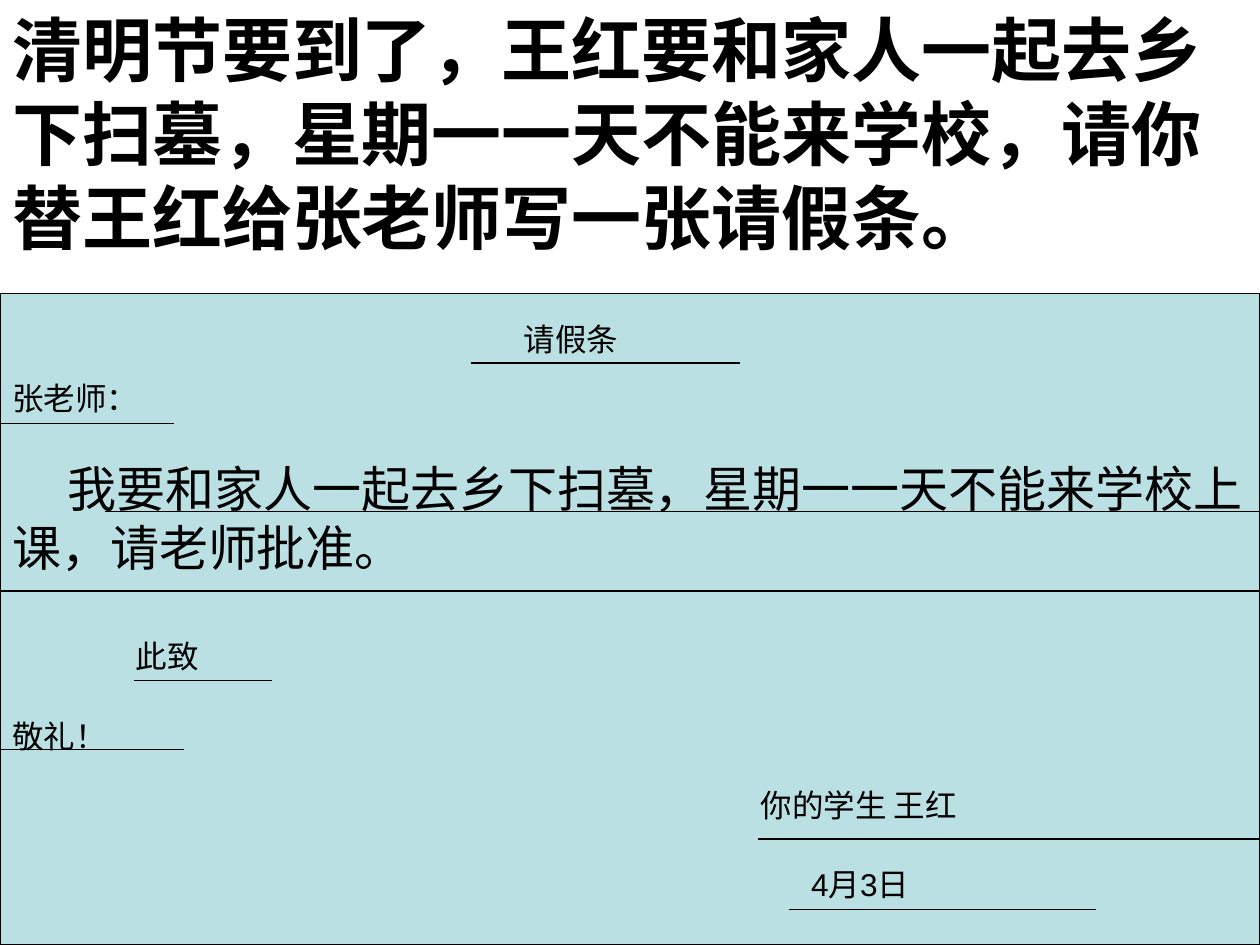
from lxml import etree
from pptx import Presentation
from pptx.dml.color import RGBColor
from pptx.enum.lang import MSO_LANGUAGE_ID
from pptx.enum.shapes import MSO_CONNECTOR, MSO_SHAPE
from pptx.enum.text import MSO_AUTO_SIZE
from pptx.oxml.ns import qn
from pptx.util import Inches, Pt

RECTANGLE = MSO_SHAPE.RECTANGLE
STRAIGHT = MSO_CONNECTOR.STRAIGHT
FIT_TEXT = MSO_AUTO_SIZE.SHAPE_TO_FIT_TEXT
CHINESE = MSO_LANGUAGE_ID.SIMPLIFIED_CHINESE

BLACK = RGBColor(0x00, 0x00, 0x00)
PAPER = RGBColor(0xBB, 0xE0, 0xE3)
FONT = "Arial"
LINE_WIDTH = Pt(0.75)

TASK = "清明节要到了，王红要和家人一起去乡下扫墓，星期一一天不能来学校，请你替王红给张老师写一张请假条。"
REASON = "我要和家人一起去乡下扫墓，星期一一天不能来学校上课，请老师批准。"

RULES = [
    (3.74, 5.87, 2.88),
    (0, 1.38, 3.36),
    (0.83, 10, 4.06),
    (0, 10, 4.69),
    (1.06, 2.16, 5.4),
    (0, 1.46, 5.95),
    (6.02, 10, 6.66),
    (6.26, 8.7, 7.22),
]

NOTE_PARTS = [
    ("请假条", 4.06, 2.49, 2.13),
    ("张老师：", 0, 2.96, 1.53),
    ("此致", 0.98, 5.01, 1.42),
    ("敬礼！", 0, 5.64, 1.77),
    ("你的学生 王红", 5.94, 6.19, 3.7),
    ("4月3日", 6.34, 6.82, 2.36),
]


def add_text(s, text, left, top, width, height=0.4, size=18, bold=False, indent=0):
    sp = s.shapes.add_textbox(Inches(left), Inches(top), Inches(width), Inches(height))
    tf = sp.text_frame
    tf.word_wrap = True
    tf.auto_size = FIT_TEXT
    p = tf.paragraphs[0]
    if indent:
        p._p.get_or_add_pPr().set("indent", str(Inches(indent)))
    r = p.add_run()
    r.text = text
    r.font.name = FONT
    r.font.size = Pt(size)
    r.font.bold = bold
    r.font.color.rgb = BLACK
    r.font.language_id = CHINESE


def add_paper(s):
    sp = s.shapes.add_shape(RECTANGLE, 0, Inches(2.33), Inches(10), Inches(5.17))
    sp.shadow.inherit = False
    sp.fill.solid()
    sp.fill.fore_color.rgb = PAPER
    sp.line.color.rgb = BLACK
    sp.line.width = LINE_WIDTH


def add_rule(s, start, end, y):
    line = s.shapes.add_connector(STRAIGHT, Inches(start), Inches(y), Inches(end), Inches(y))
    line.line.color.rgb = BLACK
    line.line.width = LINE_WIDTH
    etree.SubElement(line._element.spPr, qn("a:effectLst"))


def main():
    prs = Presentation()
    prs.slide_width = Inches(10)
    prs.slide_height = Inches(7.5)
    s = prs.slides.add_slide(prs.slide_layouts[6])
    add_text(s, TASK, 0, 0, 10, 2.1, size=40, bold=True)
    add_paper(s)
    for start, end, y in RULES:
        add_rule(s, start, end, y)
    for text, left, top, width in NOTE_PARTS:
        add_text(s, text, left, top, width)
    add_text(s, REASON, 0, 3.59, 10, 1.04, size=28, indent=0.44)
    prs.save("out.pptx")


if __name__ == "__main__":
    main()
